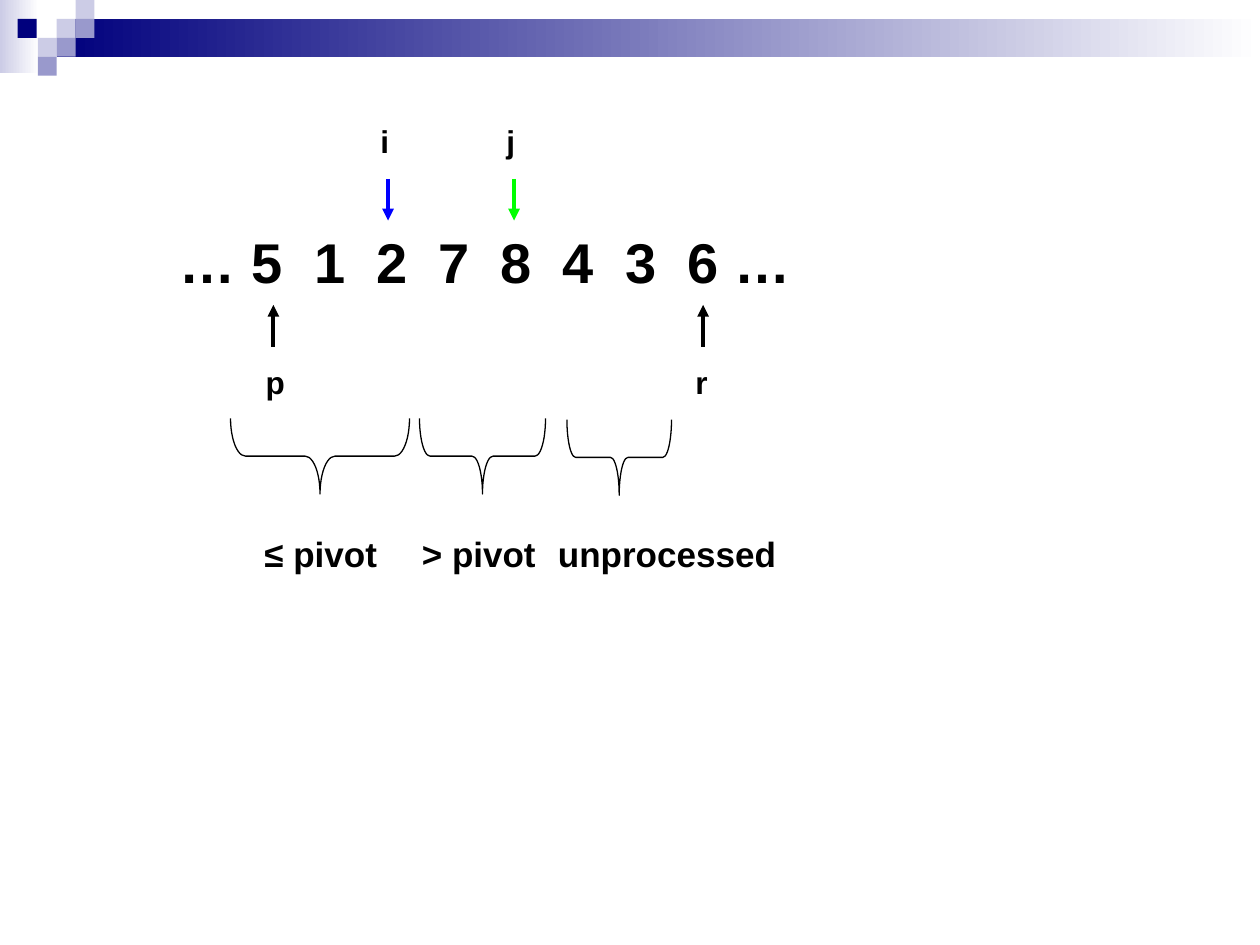
"""Build a slide showing one step of quicksort partitioning."""
from lxml import etree
from pptx import Presentation
from pptx.dml.color import RGBColor
from pptx.enum.shapes import MSO_CONNECTOR, MSO_SHAPE
from pptx.enum.text import MSO_ANCHOR
from pptx.oxml.ns import qn
from pptx.util import Inches, Pt

RECT, BRACE = MSO_SHAPE.RECTANGLE, MSO_SHAPE.LEFT_BRACE
STRAIGHT = MSO_CONNECTOR.STRAIGHT
BOTTOM = MSO_ANCHOR.BOTTOM
NAVY, MID, PALE, WHITE, BLACK = "00007D", "9999CC", "CCCCE6", "FFFFFF", "000000"


def rgb(value):
    return RGBColor.from_string(value)


def add_text(text, x, y, w, h, size, tabs=()):
    tf = s.shapes.add_textbox(Inches(x), Inches(y), Inches(w), Inches(h)).text_frame
    tf.word_wrap = True
    tf.vertical_anchor = BOTTOM
    p = tf.paragraphs[0]
    if tabs:
        tab_list = etree.SubElement(p._p.get_or_add_pPr(), qn("a:tabLst"))
        for pos in tabs:
            etree.SubElement(tab_list, qn("a:tab"), pos=str(Inches(pos)), algn="l")
    r = p.add_run()
    r.text = text
    for name, value in {"name": "Arial", "size": Pt(size), "bold": True}.items():
        setattr(r.font, name, value)
    r.font.color.rgb = rgb(BLACK)


prs = Presentation()
prs.slide_width, prs.slide_height = Inches(10), Inches(7.5)
s = prs.slides.add_slide(prs.slide_layouts[6])

for x, y, w, h, colour in [(0, 0, 0.31, 0.58, PALE), (0.45, 0.15, 9.55, 0.3, NAVY)]:
    sp = s.shapes.add_shape(RECT, Inches(x), Inches(y), Inches(w), Inches(h))
    sp.shadow.inherit = False
    sp.line.fill.background()
    sp.fill.gradient()
    sp.fill.gradient_angle = 0
    for stop, value in zip(sp.fill.gradient_stops, (colour, WHITE)):
        stop.color.rgb = rgb(value)

squares = [(0.45, 0.15, PALE), (0.6, 0, PALE), (0.6, 0.15, MID), (0.3, 0.3, PALE),
           (0.14, 0.15, NAVY), (0.45, 0.3, MID), (0.3, 0.45, MID)]
for x, y, colour in squares:
    sp = s.shapes.add_shape(RECT, Inches(x), Inches(y), Inches(0.15), Inches(0.15))
    sp.shadow.inherit = False
    sp.line.fill.background()
    sp.fill.solid()
    sp.fill.fore_color.rgb = rgb(colour)

pointers = [("i", 3.08, 0.92, 1.42, 1.75, "0000FF"), ("j", 4.08, 0.92, 1.42, 1.75, "00FF00"),
            ("p", 2.17, 2.83, 2.75, 2.42, BLACK), ("r", 5.58, 2.83, 2.75, 2.42, BLACK)]
for label, x, label_y, start, end, colour in pointers:
    arrow = s.shapes.add_connector(STRAIGHT, Inches(x), Inches(start), Inches(x), Inches(end))
    arrow.line.color.rgb = rgb(colour)
    arrow.line.width = Pt(2.25)
    etree.SubElement(arrow.line._get_or_add_ln(), qn("a:tailEnd"), type="triangle")
    etree.SubElement(arrow._element.spPr, qn("a:effectLst"))
    add_text(label, x - 0.16, label_y, 0.42, 0.4, 18)

digits = "\t".join("51278436")
add_text(f"… {digits} …", 1.33, 1.75, 5.17, 0.64, 32, [0.57 + 0.494 * k for k in range(1, 8)])

depth = 0.6
for left, top, length in [(1.83, 3.32, 1.42), (3.33, 3.32, 1), (4.5, 3.33, 0.83)]:
    x, y = left + (length - depth) / 2, top + (depth - length) / 2
    sp = s.shapes.add_shape(BRACE, Inches(x), Inches(y), Inches(depth), Inches(length))
    sp.rotation = 270
    sp.adjustments[0] = length / depth / 12
    sp.shadow.inherit = False
    sp.fill.background()
    sp.line.color.rgb = rgb(BLACK)
    sp.line.width = Pt(0.75)

for text, x, w in [("≤ pivot", 2, 1.17), ("> pivot", 3.25, 1.17), ("unprocessed", 4.33, 2)]:
    add_text(text, x, 4.17, w, 0.44, 20)

prs.save("out.pptx")
